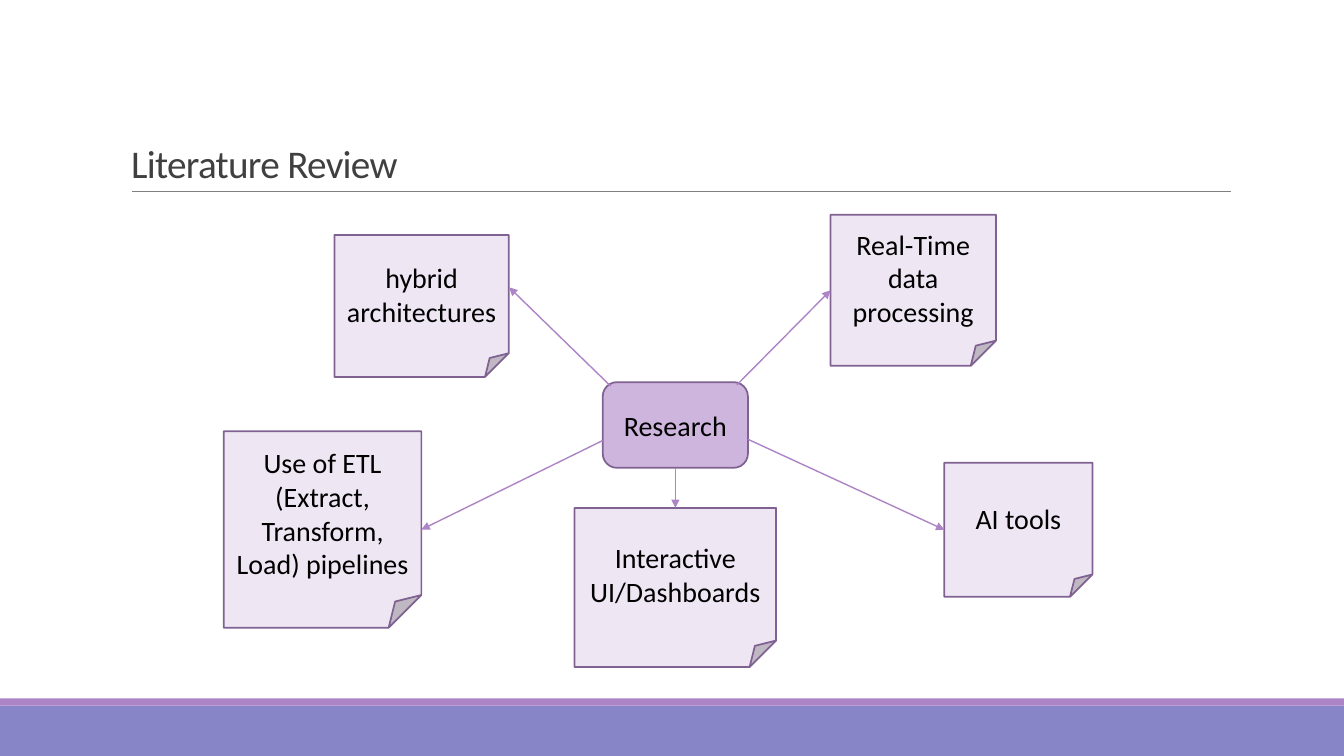
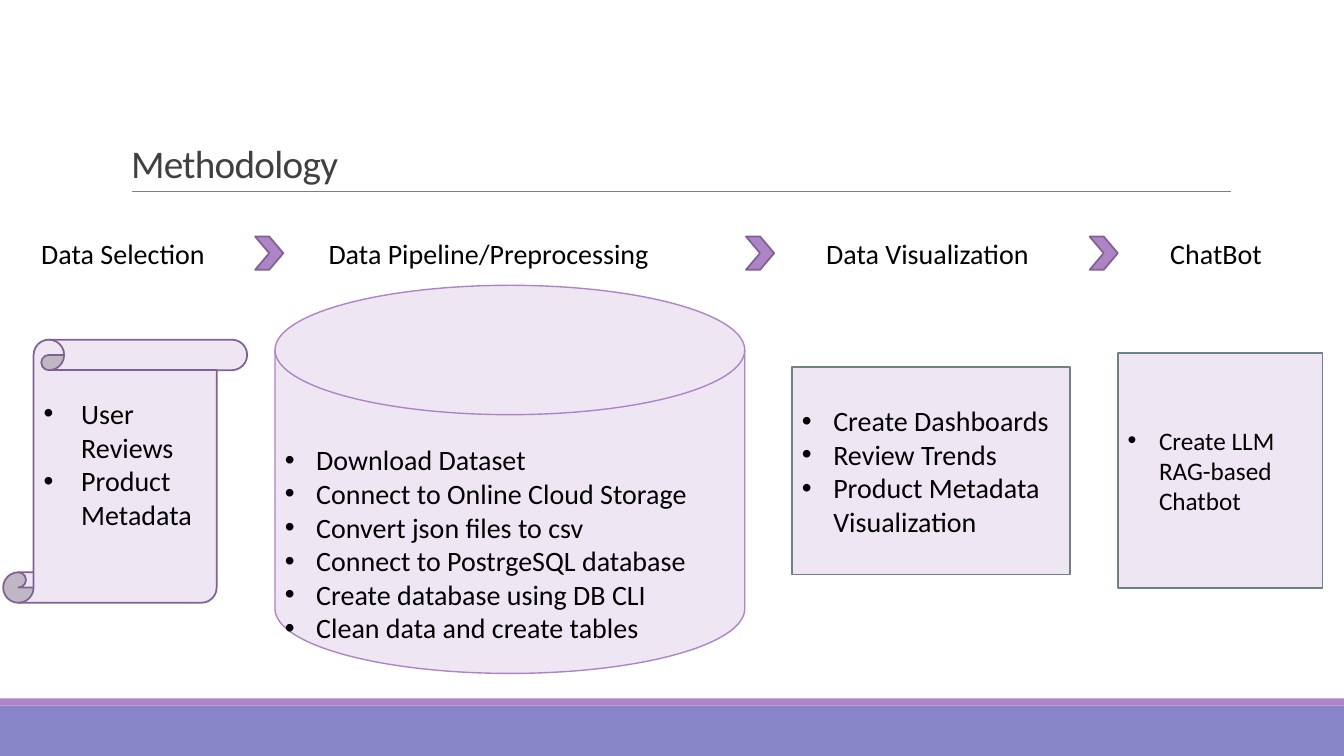
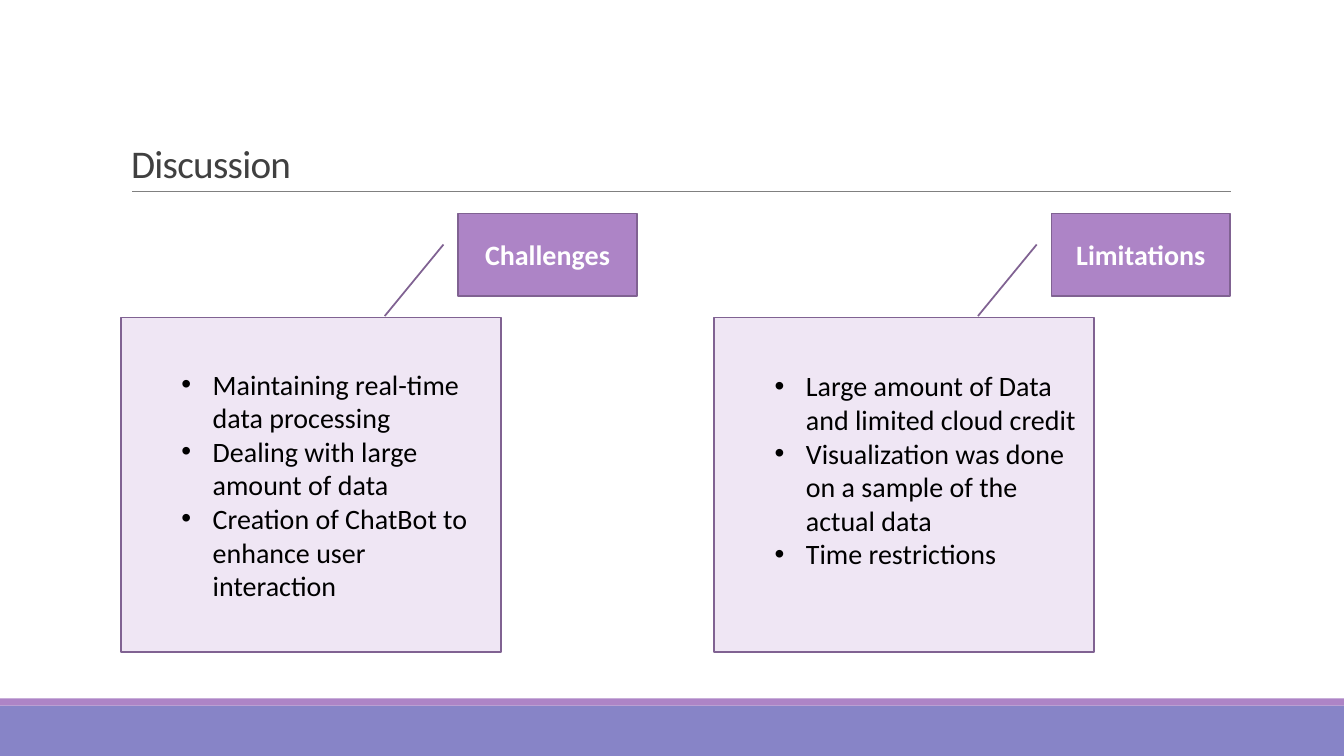
from lxml.etree import SubElement
from pptx import Presentation
from pptx.dml.color import RGBColor
from pptx.enum.shapes import MSO_CONNECTOR, MSO_SHAPE
from pptx.enum.text import MSO_ANCHOR, MSO_AUTO_SIZE, PP_ALIGN
from pptx.oxml.ns import qn
from pptx.util import Cm, Pt

FONT = "Calibri"
BLACK = "000000"
WHITE = "FFFFFF"
TITLE_GREY = "404040"
RULE_GREY = "808080"
SLATE = "6F8183"
PERIWINKLE = "8784C7"
PURPLE = "AD84C6"
DARK_PURPLE = "806292"
MID_PURPLE = "CEB5DD"
PALE_PURPLE = "EFE6F4"

PAGE_WIDTH, PAGE_HEIGHT = 33.87, 19.05
TOP, LEFT, BOTTOM, RIGHT = range(4)
RAISED = 0.89  # bottom inset that lifts centred text by about half a line


def rgb(value):
    return RGBColor.from_string(value)


def lengths(values):
    return [Cm(value) for value in values]


def add_span(para, text, size=20, color=BLACK, bold=False):
    span = para.add_run()
    span.text = text
    span.font.name = FONT
    span.font.size = Pt(size)
    span.font.bold = bold
    span.font.color.rgb = rgb(color)
    return span


def add_box(page, kind, place, fill, line=None, width=1.25):
    """Add a preset shape; place is left, top, width and height in cm."""
    box = page.shapes.add_shape(kind, *lengths(place))
    box.shadow.inherit = False
    box.fill.solid()
    box.fill.fore_color.rgb = rgb(fill)
    if line:
        box.line.color.rgb = rgb(line)
        box.line.width = Pt(width)
    else:
        box.line.fill.background()
    return box


def write_centred(box, text, color=BLACK, bold=False):
    frame = box.text_frame
    frame.word_wrap = True
    frame.vertical_anchor = MSO_ANCHOR.MIDDLE
    para = frame.paragraphs[0]
    para.alignment = PP_ALIGN.CENTER
    add_span(para, text, color=color, bold=bold)


def write_bullets(box, items, indent=0.79, hanging=0.79, size=20,
                  top=0.13, bottom=0.13):
    frame = box.text_frame
    frame.word_wrap = True
    frame.vertical_anchor = MSO_ANCHOR.MIDDLE
    frame.margin_top, frame.margin_bottom = Cm(top), Cm(bottom)
    for index, item in enumerate(items):
        para = frame.add_paragraph() if index else frame.paragraphs[0]
        para.alignment = PP_ALIGN.LEFT
        properties = para._p.get_or_add_pPr()
        properties.set("marL", str(Cm(indent)))
        properties.set("indent", str(-Cm(hanging)))
        SubElement(properties, qn("a:buFont"), typeface="Arial")
        SubElement(properties, qn("a:buChar"), char="•")
        add_span(para, item, size)


def add_label(page, text, left, width):
    box = page.shapes.add_textbox(*lengths((left, 5.84, width, 1.12)))
    box.text_frame.word_wrap = True
    add_span(box.text_frame.paragraphs[0], text)


def add_line(page, start, end, color, width, arrow=False):
    line = page.shapes.add_connector(MSO_CONNECTOR.STRAIGHT,
                                     *lengths((*start, *end)))
    line.line.color.rgb = rgb(color)
    line.line.width = Pt(width)
    properties = line._element.spPr
    if arrow:
        SubElement(properties.get_or_add_ln(), qn("a:tailEnd"), type="triangle")
    SubElement(properties, qn("a:effectLst"))
    return line


def decorate_layout(page):
    """Draw the bands and title rule, then move them to the page's layout."""
    parts = [
        add_box(page, MSO_SHAPE.RECTANGLE, (0, 17.78, PAGE_WIDTH, 1.27), PERIWINKLE),
        add_box(page, MSO_SHAPE.RECTANGLE, (0, 17.6, PAGE_WIDTH, 0.18), PURPLE),
        add_line(page, (3.33, 4.83), (31.01, 4.83), RULE_GREY, 0.5),
    ]
    for part in parts:
        page.slide_layout.shapes.element.append(part._element)


def add_page(deck, text):
    page = deck.slides.add_slide(deck.slide_layouts[5])
    title = page.shapes.title
    title.left, title.top, title.width, title.height = lengths((3.05, 0.79, 27.94, 4.04))
    frame = title.text_frame
    frame.word_wrap = True
    frame.auto_size = MSO_AUTO_SIZE.NONE
    frame.vertical_anchor = MSO_ANCHOR.BOTTOM
    para = frame.paragraphs[0]
    para.alignment = PP_ALIGN.LEFT
    para.line_spacing = 0.85
    span = add_span(para, text, 28, TITLE_GREY)
    span.font._element.set("spc", "-50")
    return page


def fill_literature_review(page):
    research = add_box(page, MSO_SHAPE.ROUNDED_RECTANGLE, (15.19, 9.63, 3.66, 2.16),
                       MID_PURPLE, DARK_PURPLE)
    write_centred(research, "Research")
    # text, place, arrow start, arrow end, side of the note that is joined
    notes = [
        ("hybrid architectures", (8.43, 5.92, 4.39, 3.58),
         (15.39, 9.73), (12.83, 7.24), None),
        ("Use of ETL (Extract, Transform, Load) pipelines", (5.64, 10.87, 4.98, 4.95),
         (15.19, 11.1), (10.62, 13.35), RIGHT),
        ("AI tools", (23.8, 11.66, 3.73, 3.38),
         (18.85, 11.07), (23.8, 13.35), LEFT),
        ("Real-Time data processing", (20.93, 5.41, 4.17, 3.81),
         (18.57, 9.7), (20.93, 7.32), LEFT),
        ("Interactive UI/Dashboards", (14.48, 12.8, 5.08, 4.01),
         (17.02, 11.79), (17.02, 12.8), TOP),
    ]
    for text, place, start, end, side in notes:
        note = add_box(page, MSO_SHAPE.FOLDED_CORNER, place, PALE_PURPLE, DARK_PURPLE)
        write_centred(note, text)
        arrow = add_line(page, start, end, PURPLE, 1, arrow=True)
        if side is not None:
            arrow.end_connect(note, side)
        if side == TOP:
            arrow.begin_connect(research, BOTTOM)


def fill_methodology(page):
    for text, left, width in (
        ("Data Selection", 0.79, 4.75),
        ("Data Pipeline/Preprocessing", 8.03, 9.68),
        ("Data Visualization", 20.57, 5.79),
        ("ChatBot", 29.24, 3.05),
    ):
        add_label(page, text, left, width)

    scroll = add_box(page, MSO_SHAPE.VERTICAL_SCROLL, (0.08, 8.56, 6.15, 6.63),
                     PALE_PURPLE, DARK_PURPLE)
    write_bullets(scroll, ["User Reviews", "Product Metadata"],
                  indent=0.95, hanging=0.95, bottom=RAISED)

    disk = add_box(page, MSO_SHAPE.FLOWCHART_MAGNETIC_DISK, (6.93, 7.19, 11.84, 9.78),
                   PALE_PURPLE, PURPLE, 1)
    write_bullets(disk, [
        "Download Dataset",
        "Connect to Online Cloud Storage",
        "Convert json files to csv",
        "Connect to PostrgeSQL database",
        "Create database using DB CLI",
        "Clean data and create tables",
    ], top=1.74)

    dashboards = add_box(page, MSO_SHAPE.RECTANGLE, (19.96, 9.25, 7.01, 5.23),
                         PALE_PURPLE, SLATE)
    write_bullets(dashboards, ["Create Dashboards", "Review Trends",
                               "Product Metadata Visualization"])

    chatbot = add_box(page, MSO_SHAPE.RECTANGLE, (28.17, 8.89, 5.16, 5.92),
                      PALE_PURPLE, SLATE)
    write_bullets(chatbot, ["Create LLM RAG-based Chatbot"], size=18)

    for left in (6.43, 18.8, 27.46):
        add_box(page, MSO_SHAPE.CHEVRON, (left, 5.96, 0.71, 0.84), PURPLE, DARK_PURPLE)


def add_topic(page, left, heading, items, bottom=0.13):
    """Add a bulleted panel with a callout for its heading."""
    panel = add_box(page, MSO_SHAPE.RECTANGLE, (left, 8, 9.58, 8.43),
                    PALE_PURPLE, DARK_PURPLE)
    write_bullets(panel, items, indent=2.06, bottom=bottom)
    callout = add_box(page, MSO_SHAPE.LINE_CALLOUT_1, (left + 8.5, 5.38, 4.5, 2.08),
                      PURPLE, DARK_PURPLE)
    for index, value in enumerate((0.376, -0.083, 1.243, -0.412)):
        callout.adjustments[index] = value
    write_centred(callout, heading, WHITE, bold=True)


def fill_discussion(page):
    add_topic(page, 3.05, "Challenges", [
        "Maintaining real-time data processing",
        "Dealing with large amount of data",
        "Creation of ChatBot to enhance user interaction",
    ])
    add_topic(page, 18, "Limitations", [
        "Large amount of Data and limited cloud credit",
        "Visualization was done on a sample of the actual data",
        "Time restrictions",
    ], bottom=RAISED)


def main():
    deck = Presentation()
    deck.slide_width, deck.slide_height = Cm(PAGE_WIDTH), Cm(PAGE_HEIGHT)
    pages = [add_page(deck, title)
             for title in ("Literature Review", "Methodology", "Discussion")]
    decorate_layout(pages[0])
    for page, fill in zip(pages, (fill_literature_review, fill_methodology,
                                  fill_discussion)):
        fill(page)
    deck.save("out.pptx")


if __name__ == "__main__":
    main()
